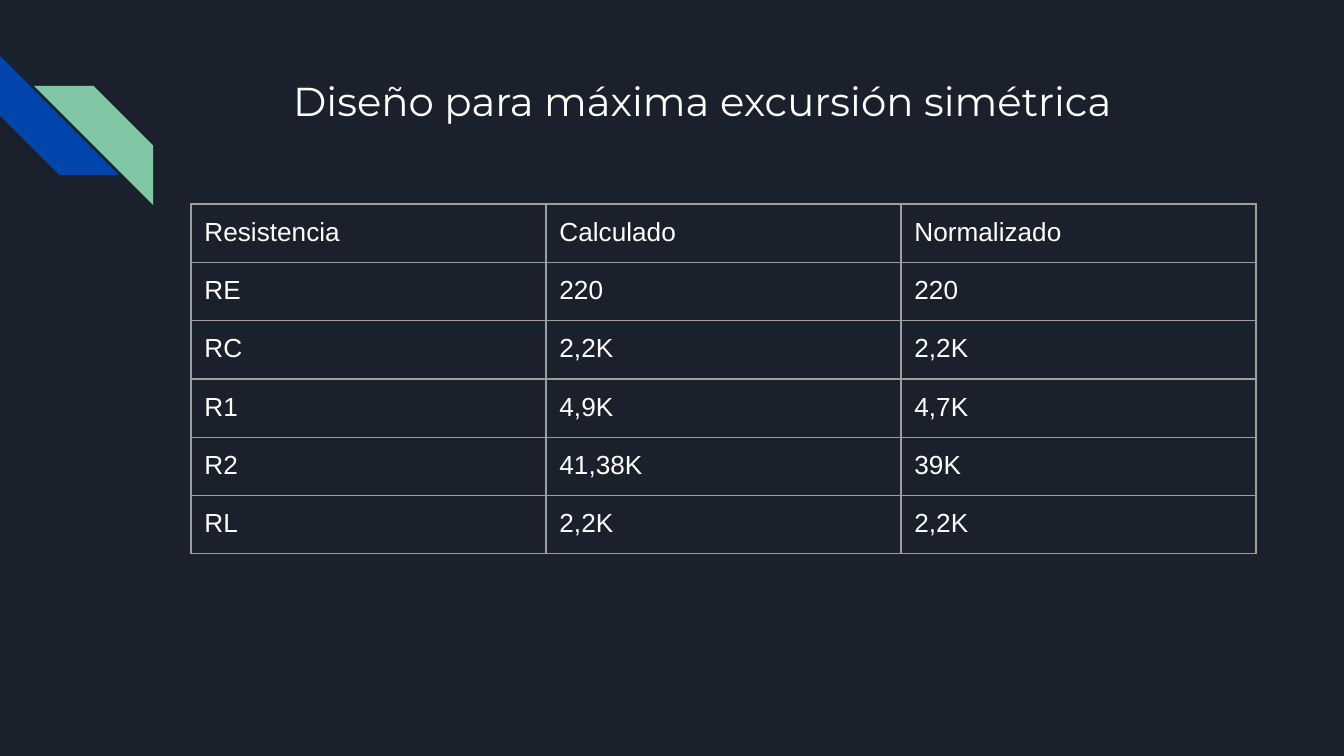
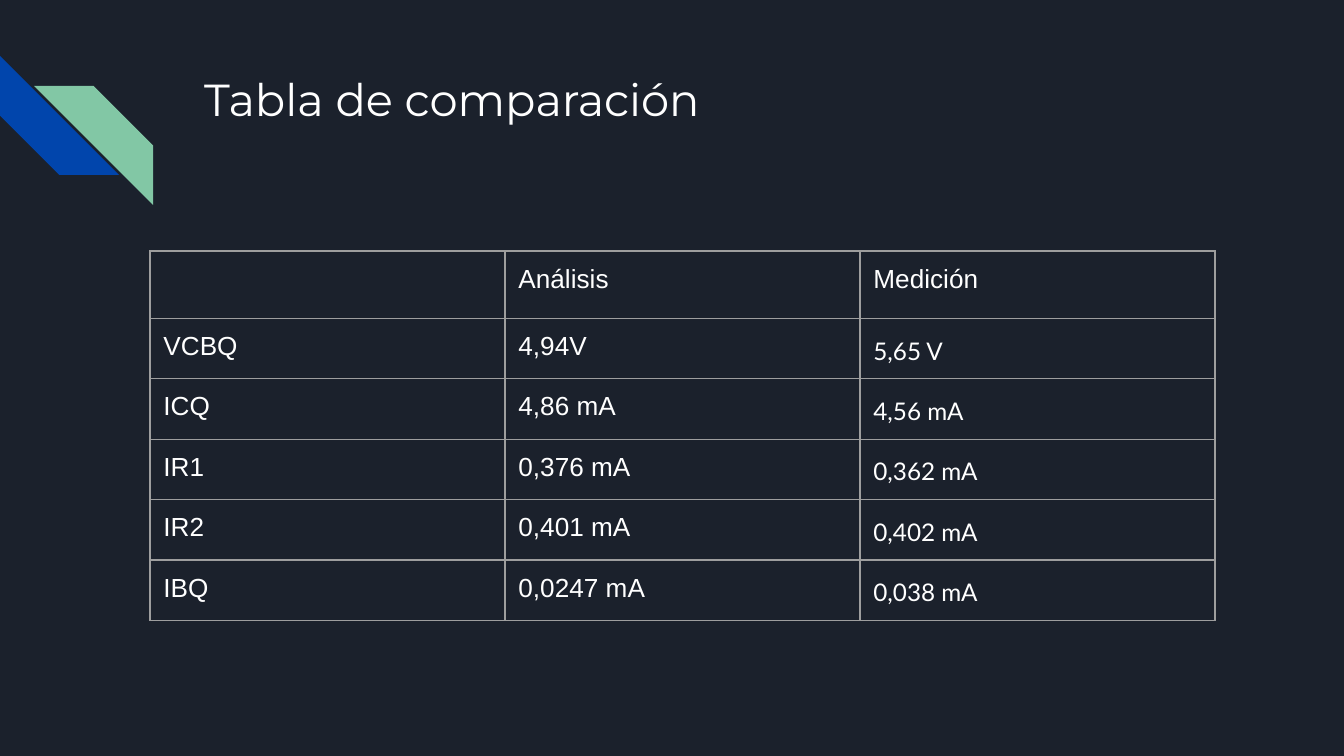
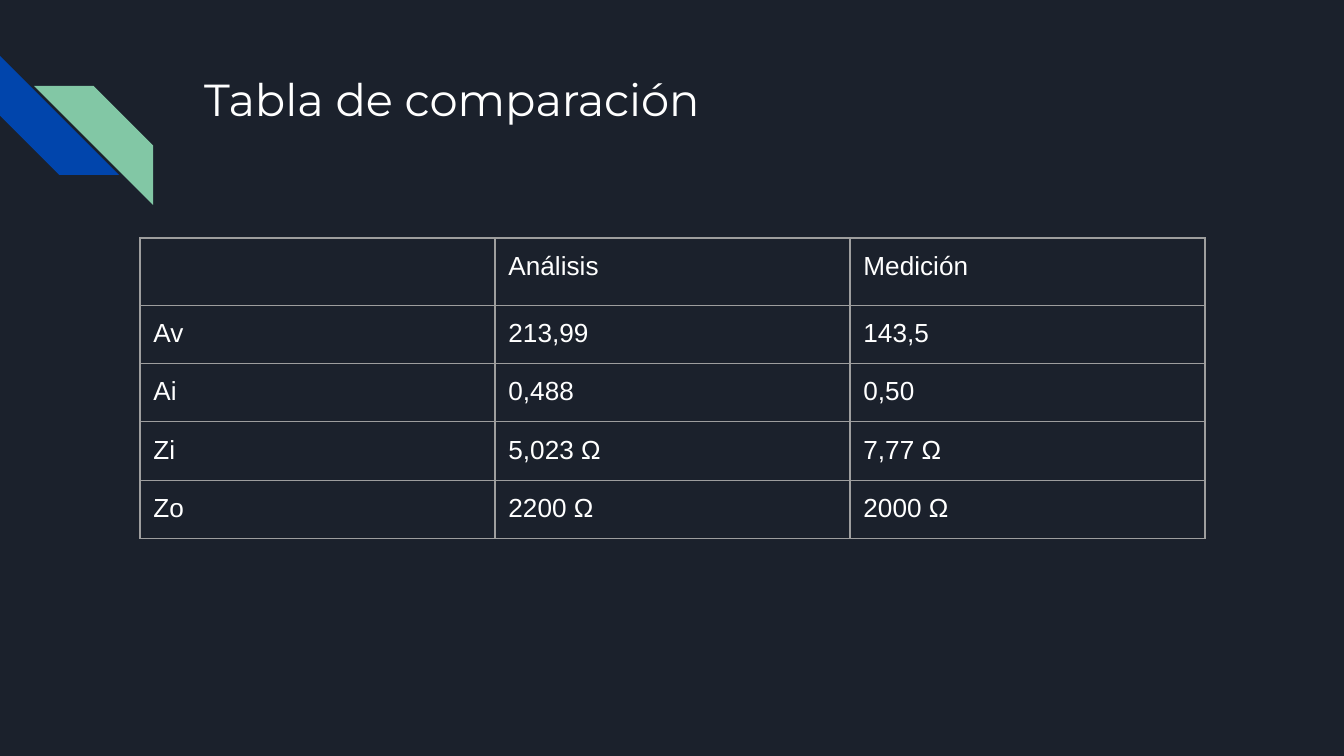
import pptx
import pptx.dml.color
import pptx.enum.shapes
import pptx.enum.text
import pptx.oxml
import pptx.oxml.ns
import pptx.util
from lxml import etree

# Shared look
NAVY = pptx.dml.color.RGBColor(0x1B, 0x21, 0x2C)
BLUE = pptx.dml.color.RGBColor(0x01, 0x45, 0xAC)
GREEN = pptx.dml.color.RGBColor(0x82, 0xC7, 0xA5)
WHITE = pptx.dml.color.RGBColor(0xFF, 0xFF, 0xFF)
GRAY = pptx.dml.color.RGBColor(0x9E, 0x9E, 0x9E)
CENTER = pptx.enum.text.PP_ALIGN.CENTER
LEFT = pptx.enum.text.PP_ALIGN.LEFT
INSET = pptx.util.Inches(0.1)
PX_PER_INCH = 134.4
BORDER_PT = 0.75
COLUMN_WIDTH, ROW_HEIGHT = 355, 56
STRIPE_SIZE = 119
STRIPES = [  # left, top, rotation, colour
    (0, 56, 270, BLUE),
    (34, 86, 90, GREEN),
]
PLAIN = dict(size=14, font="Arial")
MEASURED = dict(size=13, font="Lato", line_spacing=1.15, space_after=12)
COMPARISON_TITLE = dict(text="Tabla de comparación", box=(191, 58, 1035, 134),
                        size=24, align=LEFT)

# Content
SLIDES = [
    dict(
        title=dict(text="Diseño para máxima excursión simétrica",
                   box=(185, 63, 1035, 78), size=21.6, align=CENTER),
        corner=(191, 204),
        last_column=PLAIN,
        rows=[
            ("Resistencia", "Calculado", "Normalizado"),
            ("RE", "220", "220"),
            ("RC", "2,2K", "2,2K"),
            ("R1", "4,9K", "4,7K"),
            ("R2", "41,38K", "39K"),
            ("RL", "2,2K", "2,2K"),
        ],
    ),
    dict(
        title=COMPARISON_TITLE,
        corner=(150, 251),
        last_column=MEASURED,
        rows=[
            ("", "Análisis", "Medición"),
            ("VCBQ", "4,94V", "5,65 V"),
            ("ICQ", "4,86 mA", "4,56 mA"),
            ("IR1", "0,376 mA", "0,362 mA"),
            ("IR2", "0,401 mA", "0,402 mA"),
            ("IBQ", "0,0247 mA", "0,038 mA"),
        ],
    ),
    dict(
        title=COMPARISON_TITLE,
        corner=(140, 238),
        last_column=PLAIN,
        rows=[
            ("", "Análisis", "Medición"),
            ("Av", "213,99", "143,5"),
            ("Ai", "0,488", "0,50"),
            ("Zi", "5,023 Ω", "7,77 Ω"),
            ("Zo", "2200 Ω", "2000 Ω"),
        ],
    ),
]


def px(*lengths):
    return [pptx.util.Inches(length / PX_PER_INCH) for length in lengths]


def write(frame, text, size, font, align=LEFT, line_spacing=None, space_after=None):
    paragraph = frame.paragraphs[0]
    paragraph.alignment = align
    if line_spacing:
        paragraph.line_spacing = line_spacing
    if space_after:
        paragraph.space_after = pptx.util.Pt(space_after)
    run = paragraph.add_run()
    run.text = text
    run.font.size = pptx.util.Pt(size)
    run.font.name = font
    run.font.color.rgb = WHITE


def set_insets(holder):
    holder.margin_left = holder.margin_right = INSET
    holder.margin_top = holder.margin_bottom = INSET


def add_stripes(slide):
    for left, top, rotation, color in STRIPES:
        stripe = slide.shapes.add_shape(
            pptx.enum.shapes.MSO_SHAPE.DIAGONAL_STRIPE,
            *px(left, top, STRIPE_SIZE, STRIPE_SIZE))
        stripe.adjustments[0] = 0.5
        stripe.rotation = rotation
        stripe.shadow.inherit = False
        stripe.fill.solid()
        stripe.fill.fore_color.rgb = color
        stripe.line.fill.background()


def add_title(slide, text, box, size, align):
    frame = slide.shapes.add_textbox(*px(*box)).text_frame
    frame.word_wrap = True
    set_insets(frame)
    write(frame, text, size=size, font="Montserrat", align=align)


def outline(cell):
    properties = cell._tc.get_or_add_tcPr()
    for side in ("L", "R", "T", "B"):
        properties.append(pptx.oxml.parse_xml(
            f'<a:ln{side} {pptx.oxml.ns.nsdecls("a")} w="{pptx.util.Pt(BORDER_PT)}">'
            f'<a:solidFill><a:srgbClr val="{GRAY}"/></a:solidFill></a:ln{side}>'))


def size_empty(cell):
    """An empty cell keeps an 18 pt line, which makes its row taller."""
    end = etree.SubElement(cell.text_frame.paragraphs[0]._p,
                           pptx.oxml.ns.qn("a:endParaRPr"), sz="1800")
    etree.SubElement(end, pptx.oxml.ns.qn("a:latin"), typeface="Arial")


def add_values(slide, rows, corner, last_column):
    columns = len(rows[0])
    table = slide.shapes.add_table(
        len(rows), columns,
        *px(*corner, COLUMN_WIDTH * columns, ROW_HEIGHT * len(rows))).table
    table.first_row = table.horz_banding = False
    for r, row in enumerate(rows):
        for c, value in enumerate(row):
            cell = table.cell(r, c)
            set_insets(cell)
            outline(cell)
            cell.fill.background()
            if value:
                measured = r > 0 and c == columns - 1
                write(cell.text_frame, value, **(last_column if measured else PLAIN))
            else:
                size_empty(cell)


def main():
    deck = pptx.Presentation()
    deck.slide_width, deck.slide_height = px(1344, 756)
    background = deck.slide_master.background.fill
    background.solid()
    background.fore_color.rgb = NAVY
    for content in SLIDES:
        slide = deck.slides.add_slide(deck.slide_layouts[6])
        add_stripes(slide)
        add_title(slide, **content["title"])
        add_values(slide, content["rows"], content["corner"], content["last_column"])
    deck.save("out.pptx")


if __name__ == "__main__":
    main()
